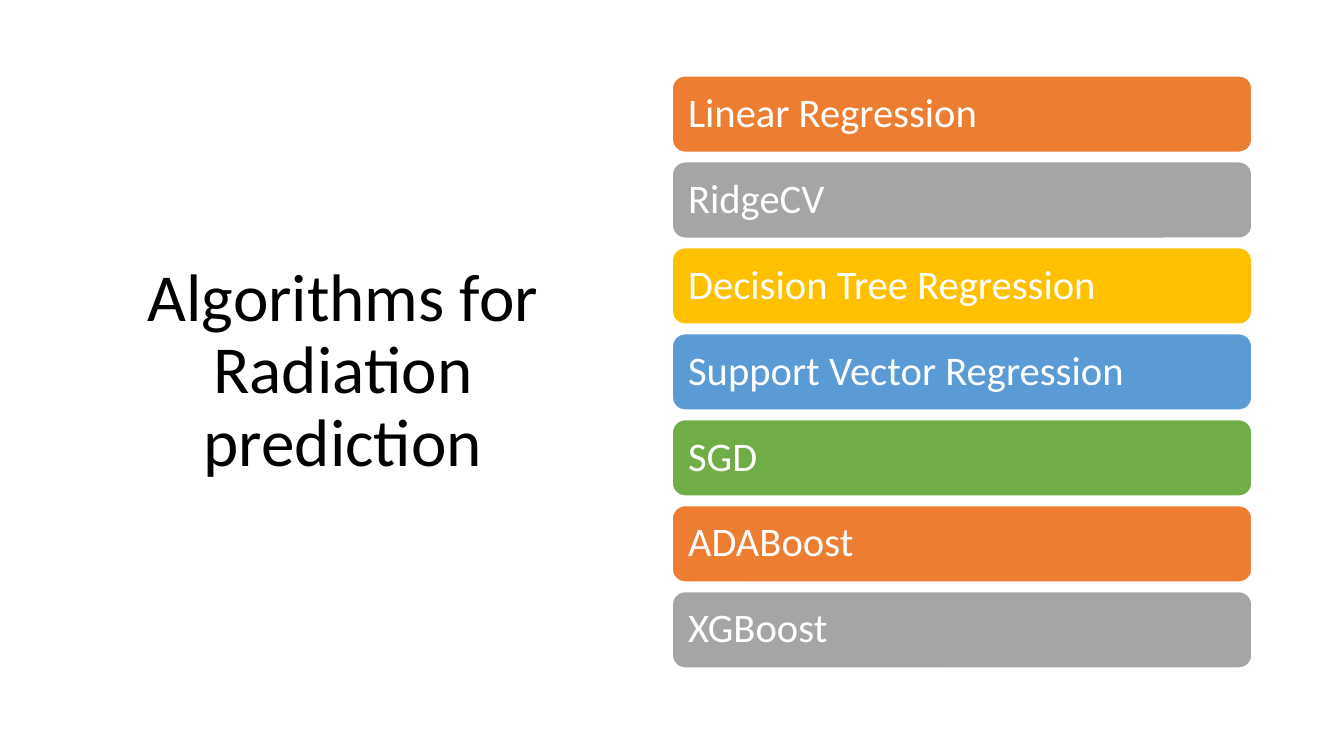
import dataclasses
import itertools

import pptx
import pptx.dml.color
import pptx.enum.shapes
import pptx.enum.text
import pptx.util

Pt = pptx.util.Pt
RGB = pptx.dml.color.RGBColor.from_string
ALIGN = pptx.enum.text.PP_ALIGN


@dataclasses.dataclass(frozen=True)
class Theme:
    font: str = "Calibri"
    title_size: float = 48
    bar_size: float = 29
    dark: str = "000000"
    light: str = "FFFFFF"
    accents: tuple = ("ED7D31", "A5A5A5", "FFC000", "5B9BD5", "70AD47")


THEME = Theme()
ALGORITHMS = (
    "Linear Regression",
    "RidgeCV",
    "Decision Tree Regression",
    "Support Vector Regression",
    "SGD",
    "ADABoost",
    "XGBoost",
)


def write_text(tf, text, *, size, color, align):
    tf.word_wrap = True
    tf.auto_size = pptx.enum.text.MSO_AUTO_SIZE.NONE
    tf.vertical_anchor = pptx.enum.text.MSO_ANCHOR.MIDDLE
    p = tf.paragraphs[0]
    p.alignment = align
    p.line_spacing = 0.9
    r = p.add_run()
    r.text = text
    r.font.name = THEME.font
    r.font.size = Pt(size)
    r.font.color.rgb = RGB(color)


def place_title(s, text, left, top, width, height):
    sp = s.shapes.title
    sp.left, sp.top, sp.width, sp.height = map(Pt, (left, top, width, height))
    write_text(sp.text_frame, text, size=THEME.title_size,
               color=THEME.dark, align=ALIGN.CENTER)


def add_bars(s, labels, left, top, width, height, gap=6.8, inset=8.64):
    bar_height = (height - gap * (len(labels) - 1)) / len(labels)
    colors = itertools.cycle(THEME.accents)
    group = s.shapes.add_group_shape()
    for i, (label, color) in enumerate(zip(labels, colors)):
        sp = group.shapes.add_shape(
            pptx.enum.shapes.MSO_SHAPE.ROUNDED_RECTANGLE,
            Pt(left), Pt(top + i * (bar_height + gap)),
            Pt(width), Pt(bar_height))
        sp.shadow.inherit = False
        sp.fill.solid()
        sp.fill.fore_color.rgb = RGB(color)
        sp.line.color.rgb = RGB(THEME.light)
        sp.line.width = Pt(1)
        tf = sp.text_frame
        tf.margin_left = tf.margin_right = Pt(inset)
        tf.margin_top = tf.margin_bottom = Pt(inset)
        write_text(tf, label, size=THEME.bar_size,
                   color=THEME.light, align=ALIGN.LEFT)


def main():
    prs = pptx.Presentation()
    prs.slide_width, prs.slide_height = Pt(960), Pt(540)
    s = prs.slides.add_slide(prs.slide_layouts[5])
    place_title(s, "Algorithms for Radiation prediction", 41, 49, 408, 433.5)
    add_bars(s, ALGORITHMS, 480.2, 54.2, 414, 423)
    prs.save("out.pptx")


if __name__ == "__main__":
    main()
